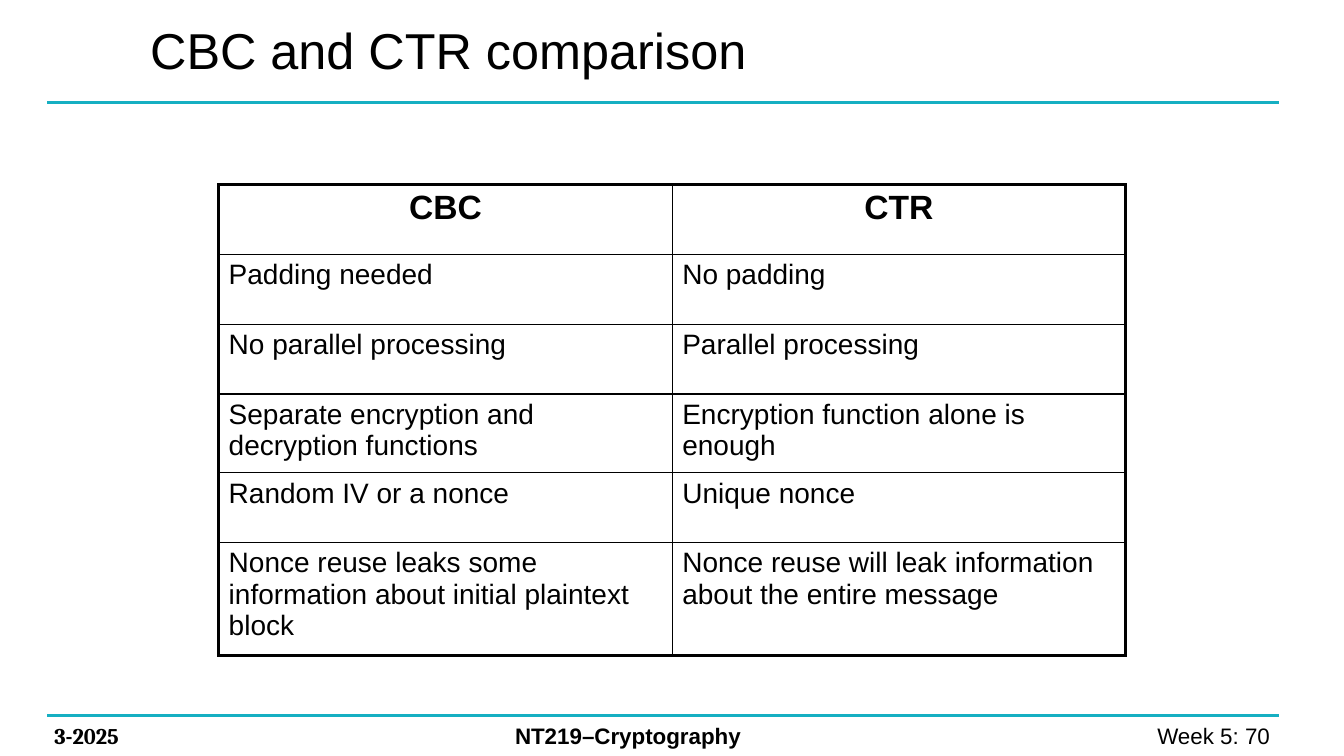
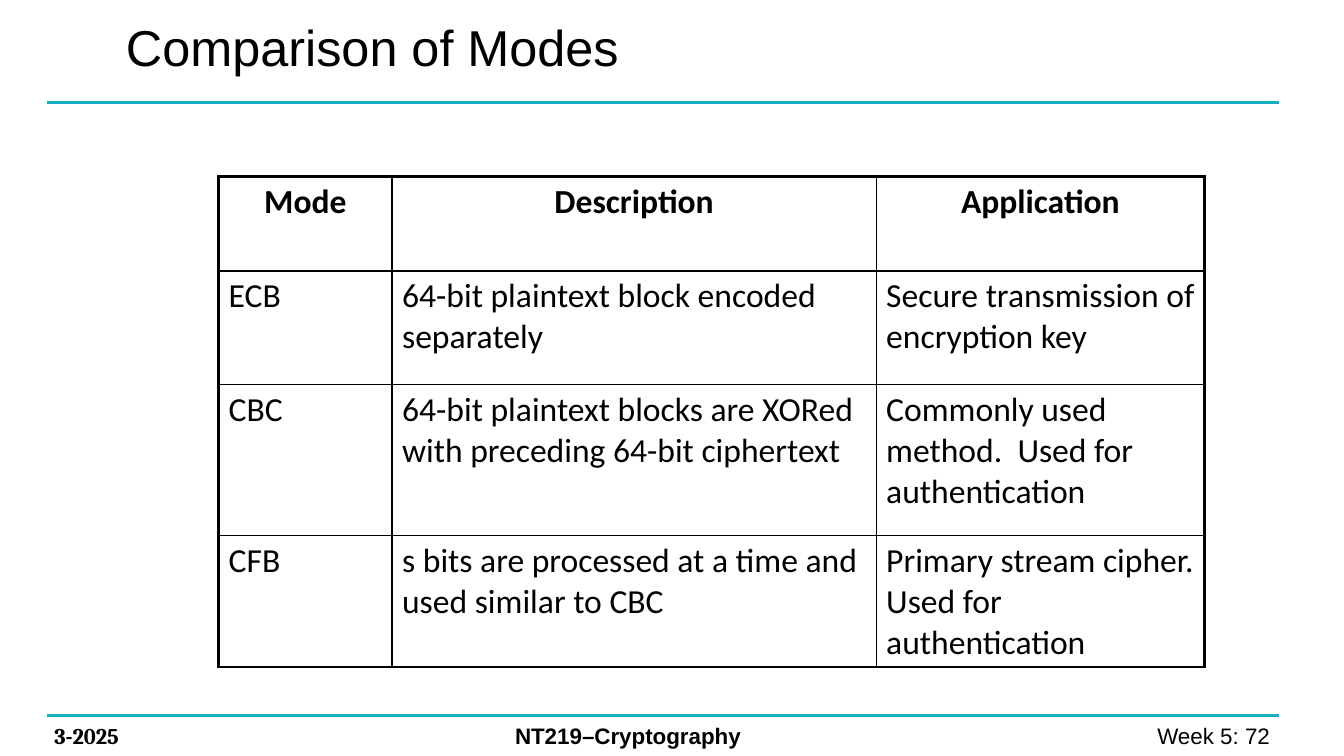
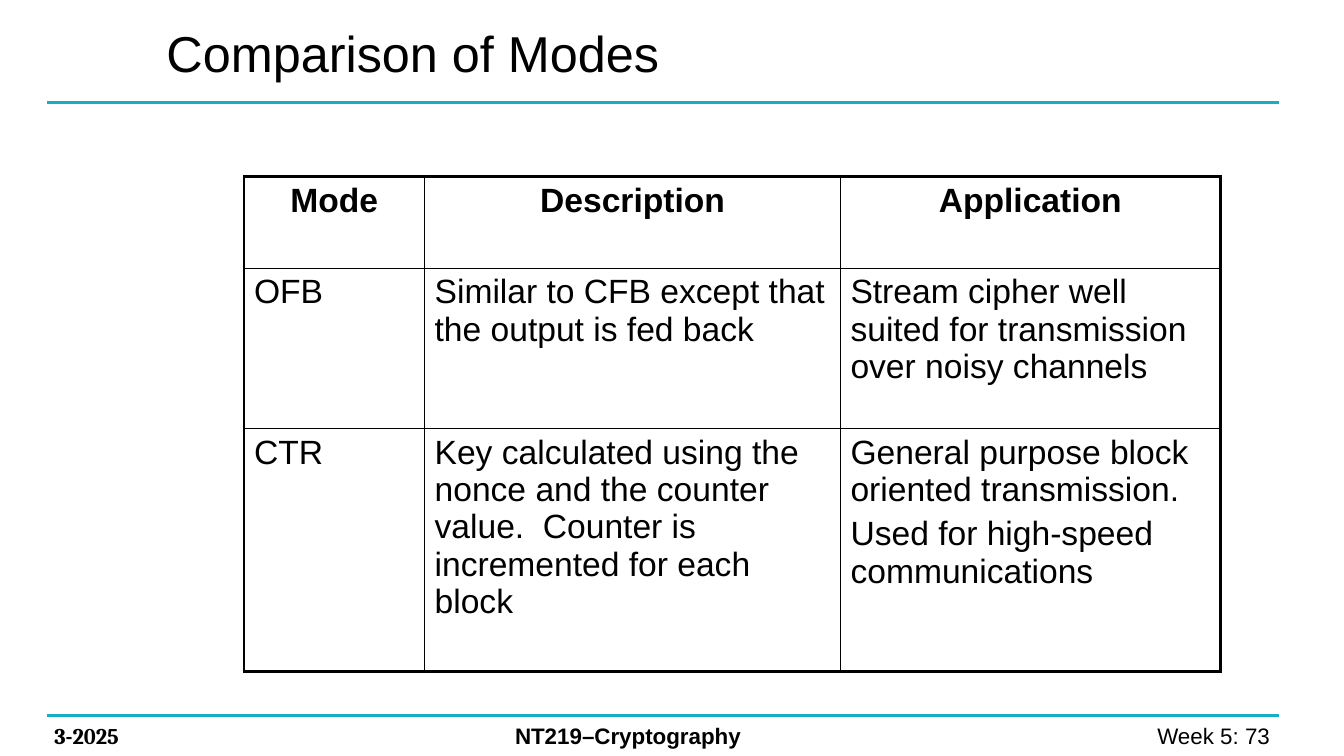
import pptx
import pptx.dml.color
import pptx.enum.shapes
import pptx.enum.text
import pptx.oxml
import pptx.oxml.ns
import pptx.util
from lxml import etree

Cm = pptx.util.Cm
Pt = pptx.util.Pt
ALIGN = pptx.enum.text.PP_ALIGN
ANCHOR = pptx.enum.text.MSO_ANCHOR
AUTO_SIZE = pptx.enum.text.MSO_AUTO_SIZE
BLACK = "000000"
TEAL = "16AFC2"


def color(hex_value):
    return pptx.dml.color.RGBColor.from_string(hex_value)


class Deck:
    """Holds the lecture style and the slide being built."""

    def __init__(self):
        self.presentation = pptx.Presentation()
        self.presentation.slide_width = Cm(33.87)
        self.presentation.slide_height = Cm(19.05)
        self.slide = None

    def add_slide(self, title, title_box, page):
        layout = self.presentation.slide_layouts[5]
        self.slide = self.presentation.slides.add_slide(layout)
        for height in (2.59, 18.03):
            self.rule(height)
        self.label("3-2025", 1.12, 4.52, font="Cambria", bold=True)
        self.label("NT219–Cryptography", 12.73, 10.39, bold=True)
        self.label(f"Week 5: {page} ", 24.94, 7.47, align=ALIGN.RIGHT)
        self.title(title, title_box)

    def add_text(self, paragraph, text, size, font="Arial", bold=False, align=ALIGN.LEFT):
        paragraph.alignment = align
        run = paragraph.add_run()
        run.text = text
        run.font.size = Pt(size)
        run.font.name = font
        run.font.bold = bold
        run.font.color.rgb = color(BLACK)

    def rule(self, height):
        line = self.slide.shapes.add_connector(
            pptx.enum.shapes.MSO_CONNECTOR.STRAIGHT,
            Cm(1.19), Cm(height), Cm(32.23), Cm(height))
        line.line.color.rgb = color(TEAL)
        line.line.width = Pt(2.25)
        properties = line._element.spPr
        etree.SubElement(properties, pptx.oxml.ns.qn("a:effectLst"))

    def label(self, text, left, width, **style):
        box = self.slide.shapes.add_textbox(Cm(left), Cm(18.07), Cm(width), Cm(0.94))
        box.text_frame.word_wrap = True
        self.add_text(box.text_frame.paragraphs[0], text, 16, **style)

    def title(self, text, box):
        shape = self.slide.shapes.title
        shape.left, shape.top, shape.width, shape.height = (Cm(value) for value in box)
        frame = shape.text_frame
        frame.auto_size = AUTO_SIZE.NONE
        frame.word_wrap = True
        frame.vertical_anchor = ANCHOR.MIDDLE
        self.add_text(frame.paragraphs[0], text, 36)

    def borders(self, cell, outer):
        properties = cell._tc.get_or_add_tcPr()
        for side in ("L", "R", "T", "B"):
            width = Pt(2.25 if side in outer else 1)
            properties.append(pptx.oxml.parse_xml(
                f'<a:ln{side} {pptx.oxml.ns.nsdecls("a")} w="{int(width)}">'
                f'<a:solidFill><a:srgbClr val="{BLACK}"/></a:solidFill></a:ln{side}>'))

    def table(self, left, top, widths, heights, rows, size=24, font="Arial"):
        table = self.slide.shapes.add_table(
            len(rows), len(widths), Cm(left), Cm(top),
            Cm(sum(widths)), Cm(sum(heights))).table
        table.horz_banding = False
        for column, width in zip(table.columns, widths):
            column.width = Cm(width)
        for row, height in zip(table.rows, heights):
            row.height = Cm(height)
        for row_index, texts in enumerate(rows):
            header = row_index == 0
            for column_index, text in enumerate(texts):
                cell = table.cell(row_index, column_index)
                edges = {"L": column_index == 0, "R": column_index == len(widths) - 1,
                         "T": header, "B": row_index == len(rows) - 1}
                self.borders(cell, [side for side, outer in edges.items() if outer])
                cell.fill.background()
                frame = cell.text_frame
                for index, part in enumerate(text.split("\n")):
                    paragraph = frame.add_paragraph() if index else frame.paragraphs[0]
                    if index:
                        paragraph.space_before = Pt(0.2 * size)
                    self.add_text(paragraph, part, 24 if header else size, font, header,
                                  ALIGN.CENTER if header else ALIGN.LEFT)


def main():
    deck = Deck()
    mode_header = ("Mode", "Description", "Application")

    deck.add_slide("CBC and CTR comparison", (3.53, -0.28, 22.86, 3.07), 70)
    deck.table(5.51, 4.65, [11.43] * 2, [1.76, 1.76, 1.76, 1.98, 1.76, 2.84], [
        ("CBC", "CTR"),
        ("Padding needed", "No padding"),
        ("No parallel processing", "Parallel processing"),
        ("Separate encryption and decryption functions",
         "Encryption function alone is enough"),
        ("Random IV or a nonce", "Unique nonce"),
        ("Nonce reuse leaks some information about initial plaintext block",
         "Nonce reuse will leak information about the entire message"),
    ], size=20)

    deck.add_slide("Comparison of Modes", (2.92, 0, 22.86, 2.34), 72)
    deck.table(5.51, 4.45, [4.37, 12.2, 8.28], [2.38, 2.85, 3.81, 3.32], [
        mode_header,
        ("ECB", "64-bit plaintext block encoded separately",
         "Secure transmission of encryption key"),
        ("CBC", "64-bit plaintext blocks are XORed with preceding 64-bit ciphertext",
         "Commonly used method.  Used for authentication"),
        ("CFB", "s bits are processed at a time and used similar to CBC",
         "Primary stream cipher. Used for authentication"),
    ], font="Calibri")

    deck.add_slide("Comparison of Modes", (3.94, 0, 22.86, 2.62), 73)
    deck.table(6.15, 4.45, [4.55, 10.48, 9.57], [2.31, 4.04, 6.12], [
        mode_header,
        ("OFB", "Similar to CFB except that the output is fed back",
         "Stream cipher well suited for transmission over noisy channels"),
        ("CTR", "Key calculated using the nonce and the counter value.  "
         "Counter is incremented for each block",
         "General purpose block oriented transmission.\n"
         "Used for high-speed communications"),
    ])

    deck.presentation.save("out.pptx")


if __name__ == "__main__":
    main()
